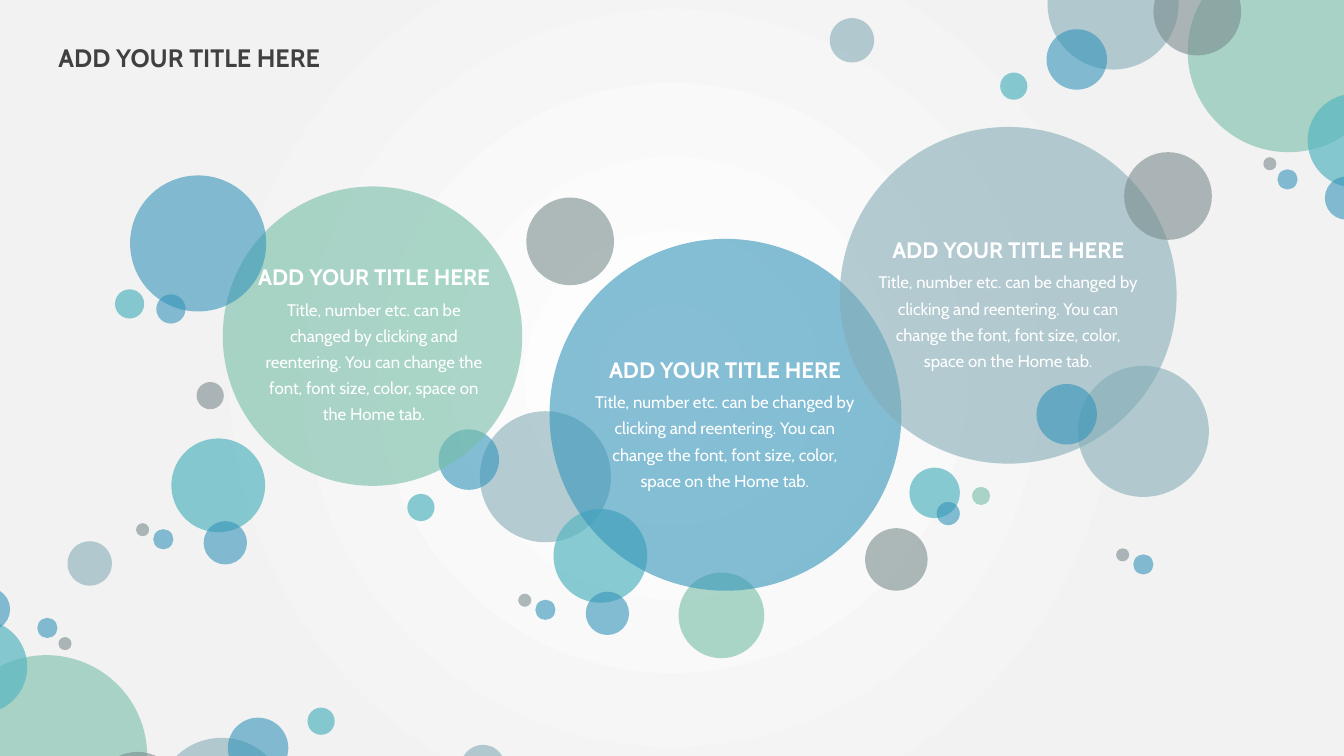
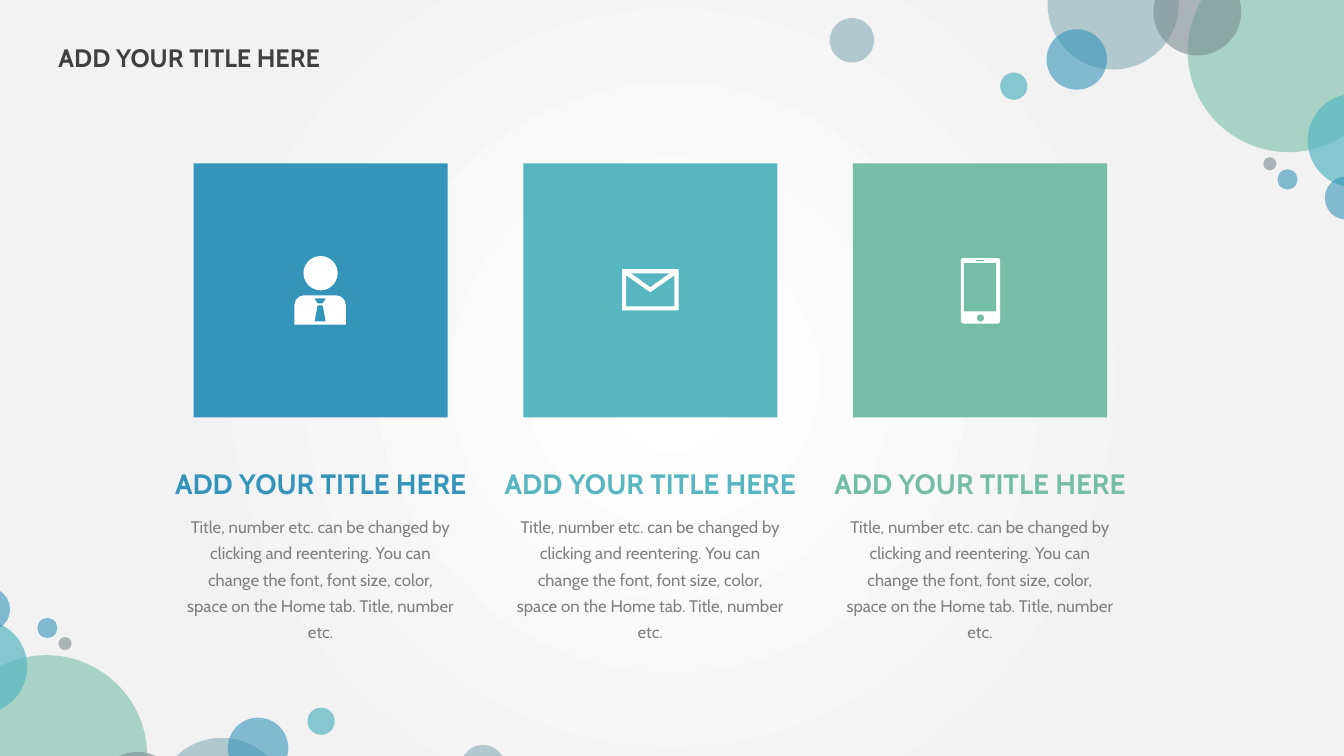
from dataclasses import dataclass

from lxml import etree
from pptx import Presentation
from pptx.dml.color import RGBColor
from pptx.enum.shapes import MSO_SHAPE as Shape
from pptx.enum.text import MSO_ANCHOR as Anchor, MSO_AUTO_SIZE as AutoSize, PP_ALIGN as Align
from pptx.oxml import parse_xml
from pptx.oxml.ns import nsdecls, qn
from pptx.util import Inches, Pt


@dataclass(frozen=True)
class Theme:
    font: str = "Cabin"
    blue: str = "3494BA"
    teal: str = "58B6C0"
    green: str = "75BDA7"
    slate: str = "84ACB6"
    gray: str = "7A8C8E"
    white: str = "FFFFFF"
    paper: str = "F2F2F2"
    heading: str = "404040"
    body: str = "808080"
    title_size: int = 18
    panel_size: int = 16
    card_size: int = 20
    body_size: int = 12


theme = Theme()
TITLE = "ADD YOUR TITLE HERE"
BODY = ("Title, number etc. can be changed by clicking and reentering. You can change "
        "the font, font size, color, space on the Home tab.")


def paint(shape, color, opacity=100):
    """Give a shape a flat fill, without outline or shadow."""
    shape.shadow.inherit = False
    shape.fill.solid()
    shape.fill.fore_color.rgb = RGBColor.from_string(color)
    shape.line.fill.background()
    if opacity < 100:
        tint = shape.element.xpath("./p:spPr/a:solidFill/a:srgbClr")[0]
        etree.SubElement(tint, qn("a:alpha")).set("val", str(opacity * 1000))


def write(box, text, size, color, bold=False, align=Align.CENTER):
    """Fill a text box or placeholder with one formatted paragraph."""
    frame = box.text_frame
    frame.text = text
    frame.word_wrap = True
    frame.auto_size = AutoSize.NONE
    frame.vertical_anchor = Anchor.TOP
    para = frame.paragraphs[0]
    para.alignment = align
    para.line_spacing = 1.3
    font = para.runs[0].font
    font.name, font.size, font.bold = theme.font, Pt(size), bold
    font.color.rgb = RGBColor.from_string(color)


deck = Presentation()
deck.slide_width, deck.slide_height = Inches(13.33), Inches(7.5)

# Background: a light glow from the centre, on the master
master = deck.slide_master
master.background.fill.gradient()
old_gradient = master.element.xpath(".//p:bgPr/a:gradFill")[0]
stops = "".join(f'<a:gs pos="{pos}"><a:srgbClr val="{color}"/></a:gs>' for pos, color in
                ((0, theme.white), (67000, theme.paper), (100000, theme.paper)))
old_gradient.getparent().replace(old_gradient, parse_xml(
    f'<a:gradFill {nsdecls("a")} rotWithShape="1"><a:gsLst>{stops}</a:gsLst>'
    '<a:path path="circle"><a:fillToRect l="50000" t="50000" r="50000" b="50000"/></a:path>'
    '</a:gradFill>'))

# Slides and their titles; the title's place is set on the layout
layout = deck.slide_layouts[5]
layout_title = layout.placeholders[0]
layout_title.left, layout_title.top = Inches(0.48), Inches(0.28)
layout_title.width, layout_title.height = Inches(3.72), Inches(0.44)
bubble_slide, card_slide = [deck.slides.add_slide(layout) for _ in range(2)]
for slide in (bubble_slide, card_slide):
    write(slide.shapes.title, TITLE, theme.title_size, theme.heading, True, Align.LEFT)

# Corner bubbles: colour, left, top, diameter; the bottom corner is the top one turned round
top_corner = [
    (theme.slate, 10.39, -0.61, 1.3),
    (theme.green, 11.78, -0.49, 2),
    (theme.gray, 11.44, -0.32, 0.87),
    (theme.blue, 10.38, 0.29, 0.6),
    (theme.teal, 12.97, 0.93, 0.93),
    (theme.teal, 9.92, 0.72, 0.27),
    (theme.blue, 13.14, 1.75, 0.43),
    (theme.blue, 12.67, 1.68, 0.2),
    (theme.gray, 12.53, 1.56, 0.13),
    (theme.slate, 8.23, 0.18, 0.44),
]
bottom_corner = [(color, 13.24 - left - size, 8.01 - top - size, size)
                 for color, left, top, size in top_corner]

# Bubbles of the first slide, some of them in clusters that come back shifted
trio = [(theme.slate, 4.76, 4.08, 1.3), (theme.gray, 5.22, 1.96, 0.87),
        (theme.blue, 4.35, 4.26, 0.6)]
pair = [(theme.teal, 5.49, 5.05, 0.93), (theme.blue, 5.81, 5.87, 0.43)]
dots = [(theme.blue, 5.31, 5.95, 0.2), (theme.gray, 5.14, 5.89, 0.13)]
left_cluster = [(color, left - 3.79, top - 0.7, size) for color, left, top, size in pair + dots]
right_cluster = [(color, left + 5.93, top - 0.45, size) for color, left, top, size in trio + dots]
scene = [
    *trio, *pair, *dots,
    (theme.teal, 4.04, 4.9, 0.27),
    (theme.green, 6.73, 5.68, 0.85),
    (theme.slate, 0.67, 5.37, 0.44),
    (theme.teal, 9.02, 4.64, 0.5),
    (theme.gray, 8.58, 5.24, 0.62),
    (theme.blue, 9.29, 4.98, 0.23),
    (theme.green, 9.64, 4.83, 0.18),
    (theme.green, 2.21, 1.85, 2.97),
    (theme.blue, 5.45, 2.37, 3.49),
    (theme.gray, 1.95, 3.79, 0.27),
    *left_cluster,
    (theme.blue, 1.29, 1.74, 1.35),
    (theme.blue, 1.55, 2.92, 0.29),
    (theme.teal, 1.14, 2.87, 0.29),
    (theme.slate, 8.33, 1.26, 3.34),
    *right_cluster,
]

# Draw all bubbles; those of the corners move to the layout
corners = top_corner + bottom_corner
for number, (color, left, top, size) in enumerate(corners + scene):
    bubble = bubble_slide.shapes.add_shape(
        Shape.OVAL, Inches(left), Inches(top), Inches(size), Inches(size))
    paint(bubble, color, 70 if color == theme.teal else 60)
    if number < len(corners):
        bubble.element.xpath("./p:nvSpPr/p:cNvPr")[0].set("id", str(100 + number))
        layout.shapes.element.append(bubble.element)

# Text in the three large bubbles: centre, top, body width
for center, top, body_width in ((3.71, 2.48, 2.46), (7.19, 3.4, 2.79), (10, 2.21, 2.79)):
    box = bubble_slide.shapes.add_textbox(
        Inches(center - body_width / 2), Inches(top + 0.38), Inches(body_width), Inches(1.4))
    write(box, BODY, theme.body_size, theme.white)
    box = bubble_slide.shapes.add_textbox(
        Inches(center - 1.39), Inches(top), Inches(2.78), Inches(0.41))
    write(box, TITLE, theme.panel_size, theme.white, True)

# Three cards, each a tile with a heading and a text
shapes = card_slide.shapes
card_colors = (theme.blue, theme.teal, theme.green)
for column, color in enumerate(card_colors):
    center = 3.18 + column * 3.27
    tile = shapes.add_shape(
        Shape.RECTANGLE, Inches(center - 1.26), Inches(1.62), Inches(2.52), Inches(2.52))
    paint(tile, color)
    box = shapes.add_textbox(Inches(center - 1.43), Inches(5.02), Inches(2.86), Inches(1.21))
    write(box, BODY + " Title, number etc.", theme.body_size, theme.body)
    box = shapes.add_textbox(Inches(center - 1.6), Inches(4.48), Inches(3.2), Inches(0.65))
    write(box, TITLE, theme.card_size, color, True)

# Icons from preset shapes: preset, place, colour, adjustments
icon_parts = [
    # person
    (Shape.OVAL, (3.01, 2.54, 0.34, 0.34), theme.white, ()),
    (Shape.ROUND_2_SAME_RECTANGLE, (2.92, 2.93, 0.51, 0.29), theme.white, (0.33, 0)),
    # envelope
    (Shape.FRAME, (6.17, 2.67, 0.56, 0.41), theme.white, (0.1,)),
    # phone
    (Shape.ROUNDED_RECTANGLE, (9.53, 2.56, 0.39, 0.65), theme.white, (0.06,)),
    (Shape.RECTANGLE, (9.56, 2.61, 0.32, 0.48), theme.green, ()),
    (Shape.OVAL, (9.69, 3.12, 0.07, 0.07), theme.green, ()),
    (Shape.ROUNDED_RECTANGLE, (9.68, 2.58, 0.08, 0.01), theme.green, (0.5,)),
]
for preset, place, color, adjustments in icon_parts:
    part = shapes.add_shape(preset, *map(Inches, place))
    for index, value in enumerate(adjustments):
        part.adjustments[index] = value
    paint(part, color)

# Icon outlines: knot and tie of the person, flap of the envelope
outlines = [
    (theme.blue, [(3.12, 2.96), (3.23, 2.96), (3.2, 3.01), (3.15, 3.01)]),
    (theme.blue, [(3.15, 3.03), (3.2, 3.03), (3.23, 3.19), (3.12, 3.19)]),
    (theme.white, [(6.18, 2.71), (6.2, 2.67), (6.45, 2.85), (6.7, 2.67), (6.72, 2.71),
                   (6.45, 2.9)]),
]
for color, corners_in_inches in outlines:
    points = [(Inches(x), Inches(y)) for x, y in corners_in_inches]
    builder = shapes.build_freeform(*points[0])
    builder.add_line_segments(points[1:], close=True)
    paint(builder.convert_to_shape(), color)

deck.save("out.pptx")
